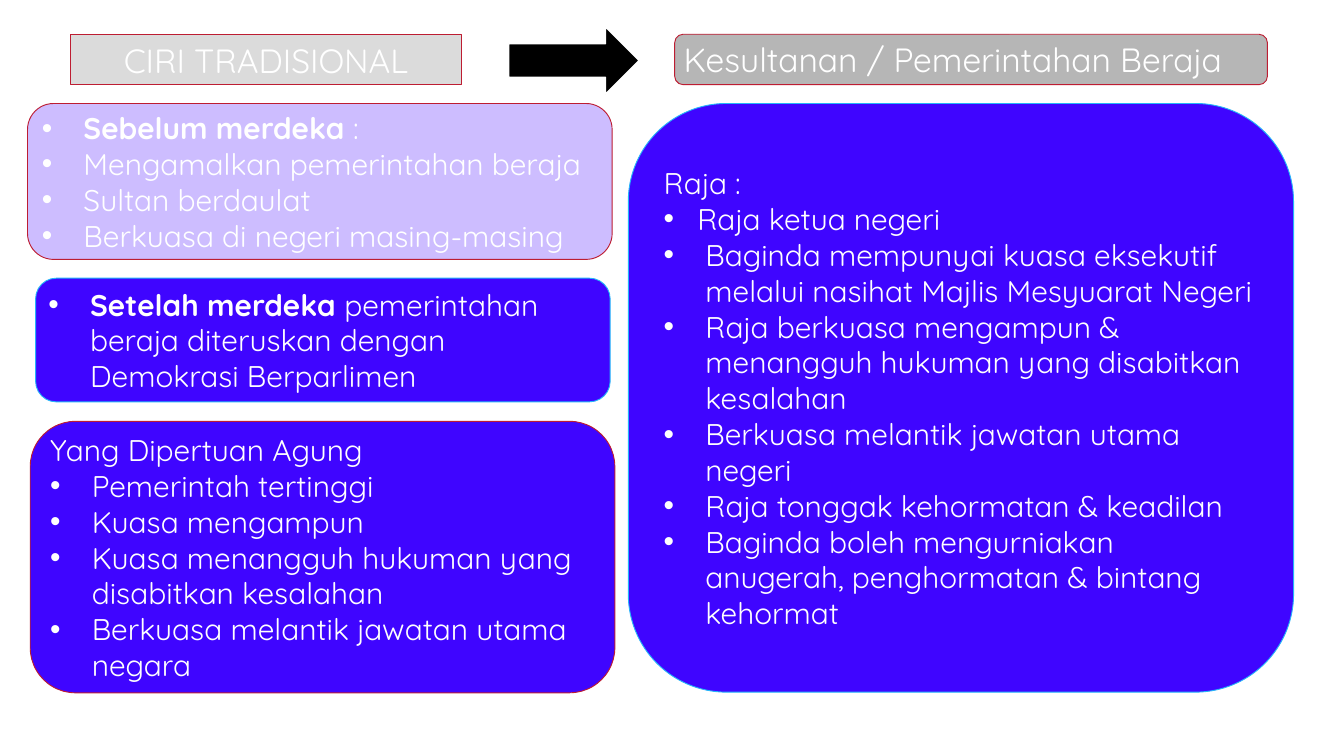
from dataclasses import dataclass

from lxml.etree import SubElement
from pptx import Presentation
from pptx.dml.color import RGBColor
from pptx.enum.shapes import MSO_SHAPE
from pptx.enum.text import MSO_ANCHOR, MSO_AUTO_SIZE, PP_ALIGN
from pptx.oxml.ns import qn
from pptx.util import Emu, Pt

PX = 9144


@dataclass(frozen=True)
class Theme:
    font: str = "Quicksand"
    heading_size: int = 36
    body_size: int = 32
    white: str = "FFFFFF"
    black: str = "000000"
    light_grey: str = "DBDBDB"
    grey: str = "B6B6B6"
    lilac: str = "CDBDFF"
    blue: str = "3F05FF"
    red: str = "BD1D32"
    cyan: str = "24B5F9"


class SlideBuilder:
    """Draws themed headings, list panels and arrows on one slide."""

    def __init__(self, slide, theme):
        self.slide = slide
        self.theme = theme

    def paint(self, shape, fill, line, width=1):
        shape.fill.solid()
        shape.fill.fore_color.rgb = RGBColor.from_string(fill)
        shape.line.color.rgb = RGBColor.from_string(line)
        shape.line.width = Pt(width)

    def add_shape(self, kind, box, fill, line, width=1):
        shape = self.slide.shapes.add_shape(kind, *(Emu(v * PX) for v in box))
        shape.shadow.inherit = False
        self.paint(shape, fill, line, width)
        return shape

    def place(self, placeholder, box, fill, line):
        left, top, width, height = (Emu(v * PX) for v in box)
        placeholder.left, placeholder.top = left, top
        placeholder.width, placeholder.height = width, height
        geometry = SubElement(placeholder.element.spPr, qn("a:prstGeom"), prst="roundRect")
        SubElement(geometry, qn("a:avLst"))
        self.paint(placeholder, fill, line)

    def prepare(self, shape):
        frame = shape.text_frame
        frame.word_wrap = True
        frame.auto_size = MSO_AUTO_SIZE.NONE
        frame.vertical_anchor = MSO_ANCHOR.MIDDLE
        frame.margin_left = frame.margin_right = Emu(10 * PX)
        frame.margin_top = frame.margin_bottom = Emu(5 * PX)
        return frame

    def style(self, paragraph, size, align=PP_ALIGN.LEFT):
        paragraph.alignment = align
        paragraph.space_before = Pt(0)
        font = paragraph.font
        font.name = self.theme.font
        font.size = Pt(size)
        font.bold = False
        font.color.rgb = RGBColor.from_string(self.theme.white)

    def heading(self, shape, text, align):
        paragraph = self.prepare(shape).paragraphs[0]
        paragraph.text = text
        self.style(paragraph, self.theme.heading_size, align)

    def title(self, text, box, fill, line):
        placeholder = self.slide.shapes.title
        self.place(placeholder, box, fill, line)
        self.heading(placeholder, text, PP_ALIGN.CENTER)

    def label(self, text, box, fill, line):
        shape = self.add_shape(MSO_SHAPE.ROUNDED_RECTANGLE, box, fill, line)
        self.heading(shape, text, PP_ALIGN.LEFT)

    def arrow(self, box):
        self.add_shape(MSO_SHAPE.RIGHT_ARROW, box, self.theme.black, self.theme.white, 1.5)

    def panel(self, index, box, fill, line, items):
        placeholder = self.slide.placeholders[index]
        self.place(placeholder, box, fill, line)
        frame = self.prepare(placeholder)
        for number, (indent, strong, text) in enumerate(items):
            paragraph = frame.add_paragraph() if number else frame.paragraphs[0]
            properties = paragraph._p.get_or_add_pPr()
            properties.set("marL", str(indent * PX))
            properties.set("indent", str(-indent * PX))
            if indent:
                SubElement(properties, qn("a:buFont"), typeface="Arial")
                SubElement(properties, qn("a:buChar"), char="•")
            else:
                SubElement(properties, qn("a:buNone"))
            if strong:
                run = paragraph.add_run()
                run.text = strong
                run.font.bold = True
            paragraph.add_run().text = text
            self.style(paragraph, self.theme.body_size)


def bullets(*texts):
    return [(62, "", text) for text in texts]


def main():
    presentation = Presentation()
    presentation.slide_width = Emu(2000 * PX)
    presentation.slide_height = Emu(1125 * PX)
    slide = presentation.slides.add_slide(presentation.slide_layouts.get_by_name("Comparison"))
    theme = Theme()
    builder = SlideBuilder(slide, theme)

    builder.title("CIRI TRADISIONAL", (105, 52, 582, 74), theme.light_grey, theme.red)
    builder.label("Kesultanan / Pemerintahan Beraja", (1004, 51, 882, 75), theme.grey, theme.red)
    builder.arrow((757, 40, 194, 100))

    builder.panel(1, (41, 154, 870, 232), theme.lilac, theme.red, [
        (62, "Sebelum merdeka ", ":"),
        *bullets(
            "Mengamalkan pemerintahan beraja",
            "Sultan berdaulat",
            "Berkuasa di negeri masing-masing",
        ),
    ])
    builder.panel(2, (53, 414, 855, 184), theme.blue, theme.cyan, [
        (62, "Setelah merdeka ", "pemerintahan beraja diteruskan dengan Demokrasi Berparlimen"),
    ])
    builder.panel(3, (45, 627, 870, 404), theme.blue, theme.red, [
        (0, "", "Yang Dipertuan Agung"),
        *bullets(
            "Pemerintah tertinggi",
            "Kuasa mengampun",
            "Kuasa menangguh hukuman yang disabitkan kesalahan",
            "Berkuasa melantik jawatan utama negara",
        ),
    ])
    builder.panel(4, (935, 154, 990, 876), theme.blue, theme.cyan, [
        (0, "", "Raja :"),
        (50, "", "Raja ketua negeri"),
        *bullets(
            "Baginda mempunyai kuasa eksekutif melalui nasihat Majlis Mesyuarat Negeri",
            "Raja berkuasa mengampun & menangguh hukuman yang disabitkan kesalahan",
            "Berkuasa melantik jawatan utama negeri",
            "Raja tonggak kehormatan & keadilan",
            "Baginda boleh mengurniakan anugerah, penghormatan & bintang kehormat",
        ),
    ])
    presentation.save("out.pptx")


if __name__ == "__main__":
    main()
